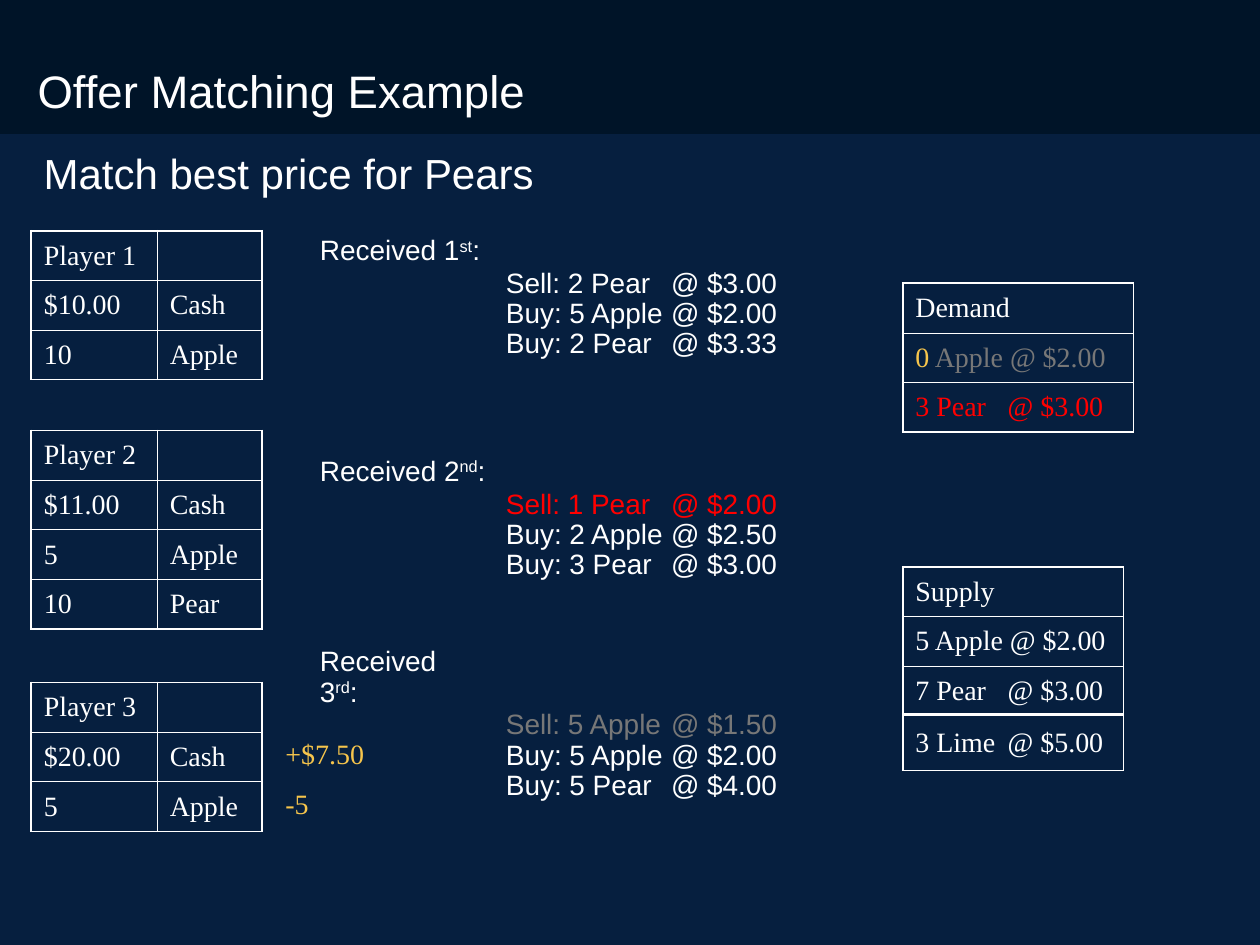
import pptx
import pptx.util
import pptx.dml.color
import pptx.enum.shapes
import pptx.enum.text
import pptx.oxml
import pptx.oxml.ns
from lxml import etree

Cm, Pt = pptx.util.Cm, pptx.util.Pt
HUES = {"back": "061F3F", "head": "001428", "white": "FFFFFF",
        "gold": "F6C54C", "grey": "777777", "red": "FF0000"}

# Content: a line is a string, or a list of (text, hue) or (text, hue, rise) runs
TITLE = "Offer Matching Example"
TOPIC = "Match best price for Pears"

# Header bands: left, top, width, height
BANDS = [(0, 0, 25.4, 2.7), (6.96, 0.1, 18.24, 0.61)]

# Tables: left, top, column widths, row heights, framed, tab stop, rows of cells, cell lines
PAIR = [2.54, 2.11]
TABLES = [
    (0.63, 4.65, PAIR, [1] * 3, True, None,
     [[["Player 1"], []], [["$10.00"], ["Cash"]], [["10"], ["Apple"]]]),
    (0.63, 8.68, PAIR, [1] * 4, True, None,
     [[["Player 2"], []], [["$11.00"], ["Cash"]], [["5"], ["Apple"]],
      [["10"], ["Pear"]]]),
    (0.63, 13.76, PAIR, [1] * 3, True, None,
     [[["Player 3"], []], [["$20.00"], ["Cash"]], [["5"], ["Apple"]]]),
    (18.2, 11.43, [4.45], [1, 1, 2.1], True, 1.86,
     [[["Supply"]], [["5 Apple @ $2.00"]],
      [["7 Pear\t@ $3.00", "3 Lime\t@ $5.00"]]]),
    (18.2, 5.71, [4.65], [1] * 3, True, 1.86,
     [[["Demand"]], [[[("0", "gold"), (" Apple @ $2.00", "grey")]]],
      [[[("3 Pear\t@ $3.00", "red")]]]]),
    # Changes in holdings, one grid beside each player
    (5.5, 13.74, [2.54], [0.98, 1, 1], False, None,
     [[[]], [[[("+$7.50", "gold")]]], [[[("-5", "gold")]]]]),
    (5.5, 8.68, [4.65], [1] * 4, False, None, [[[]]] * 4),
    (5.5, 4.65, [4.65], [1] * 3, False, None, [[[]]] * 3),
]

# Offers: number, ending, label width, lines
OFFERS = [
    ("1", "st", 3.73, ["Sell: 2 Pear\t@ $3.00", "Buy: 5 Apple\t@ $2.00",
                       "Buy: 2 Pear\t@ $3.33"]),
    ("2", "nd", 3.84, [[("Sell: 1 Pear\t@ $2.00", "red")],
                       "Buy: 2 Apple\t@ $2.50", "Buy: 3 Pear\t@ $3.00"]),
    ("3", "rd", 3.76, [[("Sell: 5 Apple\t@ $1.50", "grey")],
                       "Buy: 5 Apple\t@ $2.00", "Buy: 5 Pear\t@ $4.00"]),
]

SANS = {"name": "Arial", "size": Pt(16)}
SERIF = {"name": "Times New Roman", "size": Pt(16)}


def rgb(hue):
    return pptx.dml.color.RGBColor.from_string(HUES[hue])


def style(thing, form):
    for key, value in form.items():
        setattr(thing, key, value)


def write(frame, lines, font, space, gap=0, tab=None):
    for n, line in enumerate(lines):
        para = frame.add_paragraph() if n else frame.paragraphs[0]
        form = {"line_spacing": space}
        if n and gap:
            form["space_before"] = Pt(gap)
        style(para, form)
        runs = [(line, "white")] if isinstance(line, str) else line
        if tab and any("\t" in part[0] for part in runs):
            stops = etree.SubElement(para._p.get_or_add_pPr(),
                                     pptx.oxml.ns.qn("a:tabLst"))
            etree.SubElement(stops, pptx.oxml.ns.qn("a:tab"),
                             pos=str(int(Cm(tab))), algn="l")
        for text, hue, *rise in runs:
            run = para.add_run()
            run.text = text
            style(run.font, font)
            run.font.color.rgb = rgb(hue)
            if rise:
                run._r.get_or_add_rPr().set("baseline", str(rise[0] * 1000))


def box(slide, area, lines, font, wrap=True, tab=None):
    frame = slide.shapes.add_textbox(*map(Cm, area)).text_frame
    style(frame, {"word_wrap": wrap,
                  "auto_size": pptx.enum.text.MSO_AUTO_SIZE.SHAPE_TO_FIT_TEXT,
                  "vertical_anchor": pptx.enum.text.MSO_ANCHOR.BOTTOM})
    write(frame, lines, font, 0.9, tab=tab)


def edge(cell, side, width):
    line = etree.SubElement(cell._tc.get_or_add_tcPr(),
                            pptx.oxml.ns.qn("a:ln" + side), w=str(int(Pt(width))))
    if not width:
        etree.SubElement(line, pptx.oxml.ns.qn("a:noFill"))
        return
    fill = etree.SubElement(line, pptx.oxml.ns.qn("a:solidFill"))
    etree.SubElement(fill, pptx.oxml.ns.qn("a:srgbClr"), val=HUES["white"])


def grid(slide, left, top, wides, highs, framed, tab, rows):
    table = slide.shapes.add_table(len(highs), len(wides), Cm(left), Cm(top),
                                   Cm(sum(wides)), Cm(sum(highs))).table
    style(table, {"first_row": False, "horz_banding": False})
    for col, wide in zip(table.columns, wides):
        col.width = Cm(wide)
    for r, high in enumerate(highs):
        table.rows[r].height = Cm(high)
        for c, lines in enumerate(rows[r]):
            cell = table.cell(r, c)
            outer = {"L": c == 0, "R": c == len(wides) - 1,
                     "T": r == 0, "B": r == len(highs) - 1}
            for side, rim in outer.items():
                edge(cell, side, (1.08 if rim else 0.45) if framed else 0)
            cell.fill.background()
            write(cell.text_frame, lines, SERIF, 1.1, gap=10, tab=tab)
            if not lines:
                etree.SubElement(cell.text_frame.paragraphs[0]._p,
                                 pptx.oxml.ns.qn("a:endParaRPr"), sz="1600")


def main():
    deck = pptx.Presentation()
    style(deck, {"slide_width": Cm(25.4), "slide_height": Cm(19.05)})
    slide = deck.slides.add_slide(deck.slide_layouts[6])
    slide.background.fill.solid()
    slide.background.fill.fore_color.rgb = rgb("back")

    # Header bands, title and topic
    for area in BANDS:
        band = slide.shapes.add_shape(pptx.enum.shapes.MSO_SHAPE.RECTANGLE,
                                      *map(Cm, area))
        band.shadow.inherit = False
        band.fill.solid()
        band.fill.fore_color.rgb = rgb("head")
        band.line.fill.background()
    box(slide, (0.51, 1.27, 23.5, 1.24), [TITLE], {**SANS, "size": Pt(26)})
    box(slide, (0.63, 2.95, 24.33, 1.17), [TOPIC], {**SANS, "size": Pt(24)})

    # Holdings, supply, demand and changes
    for table in TABLES:
        grid(slide, *table)

    # Rule between the two lines of the last supply row
    rule = slide.shapes.add_connector(pptx.enum.shapes.MSO_CONNECTOR.STRAIGHT,
                                      Cm(18.2), Cm(14.4), Cm(22.65), Cm(14.4))
    rule.line.width = Pt(1.5)
    rule.line.color.rgb = rgb("white")
    etree.SubElement(rule._element.spPr, pptx.oxml.ns.qn("a:effectLst"))

    # Offers, evenly spaced down the slide
    for n, (count, end, wide, lines) in enumerate(OFFERS):
        top = 5.3 + 4.45 * n
        label = [("Received " + count, "white"), (end, "white", 30), (":", "white")]
        box(slide, (6.2, top - 0.66, wide, 0.86), [label], SANS, wrap=False)
        box(slide, (9.95, top, 5.97, 2.08), lines, SANS, wrap=False, tab=3.33)

    deck.save("out.pptx")


if __name__ == "__main__":
    main()
